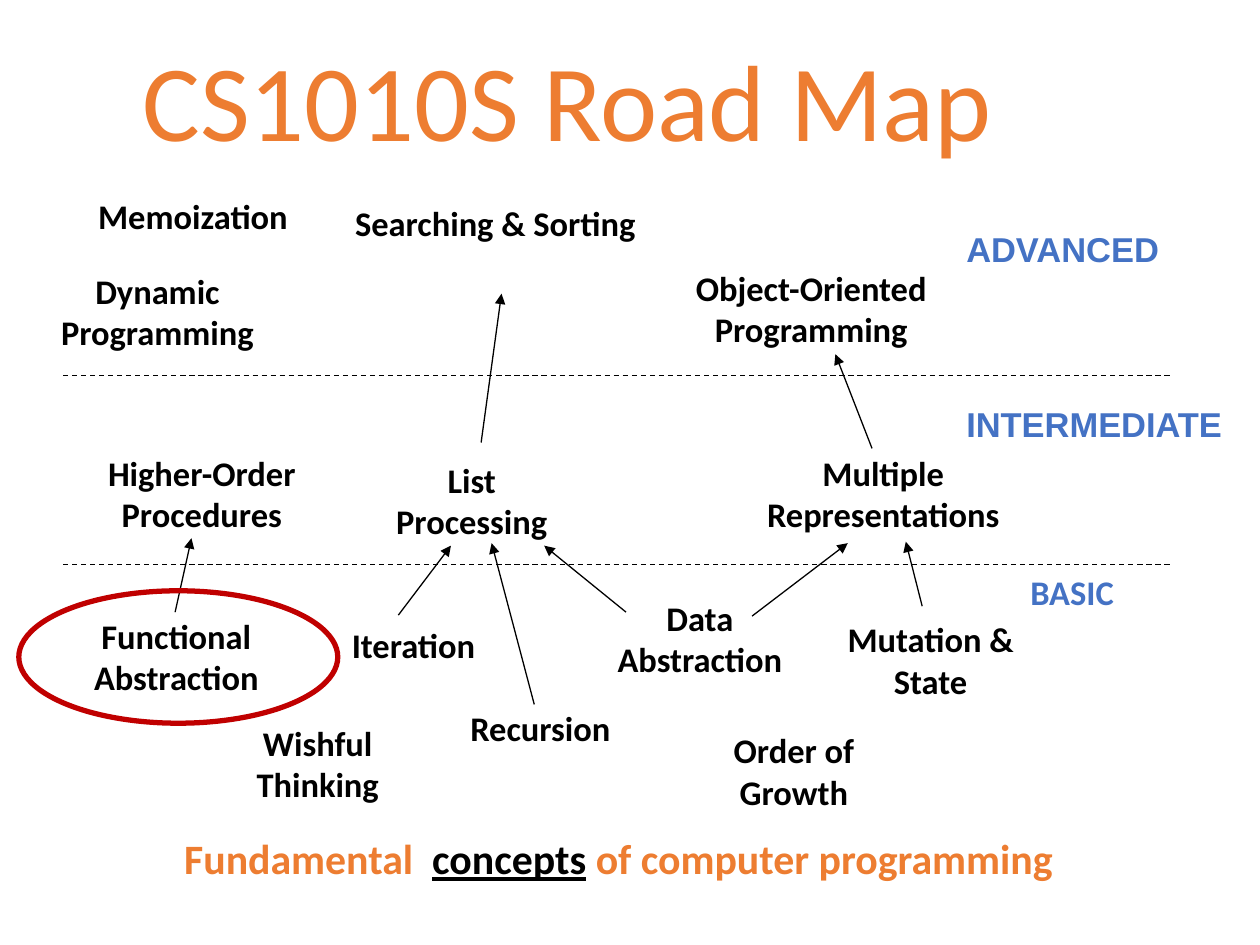
from lxml import etree
from pptx import Presentation
from pptx.dml.color import RGBColor
from pptx.enum.dml import MSO_LINE
from pptx.enum.shapes import MSO_CONNECTOR, MSO_SHAPE
from pptx.enum.text import MSO_ANCHOR, MSO_AUTO_SIZE, PP_ALIGN
from pptx.oxml.ns import qn
from pptx.util import Cm, Pt

ORANGE = RGBColor(0xED, 0x7D, 0x31)
BLUE = RGBColor(0x44, 0x72, 0xC4)
BLACK = RGBColor(0, 0, 0)
RED = RGBColor(0xC0, 0, 0)
WHITE = RGBColor(255, 255, 255)
LEFT, CENTER = PP_ALIGN.LEFT, PP_ALIGN.CENTER
MIDDLE = MSO_ANCHOR.MIDDLE
FIT, FIXED = MSO_AUTO_SIZE.SHAPE_TO_FIT_TEXT, MSO_AUTO_SIZE.NONE
DASH = MSO_LINE.DASH
STRAIGHT = MSO_CONNECTOR.STRAIGHT
OVAL = MSO_SHAPE.OVAL

WIDE, HIGH = 25.4, 19.05
ONE, TWO = 1.1, 1.93
SIZE = 19.7

ADVANCED = [
    ("Memoization", 1.73, 0, 5.08, ONE, LEFT),
    ("Searching & Sorting", 6.91, 0.13, 6.35, ONE, LEFT),
    ("Dynamic Programming", 0, 1.5, 6.35, TWO, CENTER),
    ("Object-Oriented Programming", 13.18, 1.45, 6.35, TWO, CENTER),
]
MEDIUM = [
    ("Higher-Order Procedures", 1.3, 1.42, 5.54, TWO, CENTER),
    ("List Processing", 7.26, 1.55, 4.5, TWO, CENTER),
    ("Multiple\nRepresentations", 14.58, 1.42, 6.45, TWO, CENTER),
]
BASIC = [
    ("Functional Abstraction", 1.32, 0.89, 4.47, TWO, CENTER),
    ("Iteration", 6.1, 1.07, 4.47, ONE, CENTER),
    ("Recursion", 8.66, 2.74, 4.47, ONE, CENTER),
    ("Wishful Thinking", 4.17, 3.05, 4.47, TWO, CENTER),
    ("Data Abstraction", 11.86, 0.53, 4.5, TWO, CENTER),
    ("Order of Growth", 13.77, 3.2, 4.47, TWO, CENTER),
    ("Mutation & State", 16.51, 0.96, 4.5, TWO, CENTER),
]
LINKS = [
    (3.53, 12.34, 3.86, 10.85),
    (8.03, 12.4, 9.09, 11),
    (10.77, 14.2, 9.91, 10.95),
    (12.62, 12.34, 10.97, 11),
    (15.16, 12.42, 17.09, 10.95),
    (18.59, 12.22, 18.26, 10.92),
    (17.58, 9.04, 16.84, 7.14),
    (9.7, 8.92, 10.11, 5.92),
]


def add_run(para, text, size, color, font="Calibri", bold=True):
    run = para.add_run()
    run.text = text
    run.font.size = Pt(size)
    run.font.name = font
    run.font.bold = bold
    run.font.color.rgb = color
    return run


def add_text(slide, box, align, wrap=True):
    frame = slide.shapes.add_textbox(*map(Cm, box)).text_frame
    frame.word_wrap = wrap
    frame.auto_size = FIT
    para = frame.paragraphs[0]
    para.alignment = align
    return para


def add_line(slide, ends, dash=False, arrow=False):
    line = slide.shapes.add_connector(STRAIGHT, *map(Cm, ends))
    line.line.color.rgb = BLACK
    line.line.width = Pt(0.75)
    if dash:
        line.line.dash_style = DASH
    if arrow:
        tail = etree.SubElement(line.line._get_or_add_ln(), qn("a:tailEnd"))
        tail.set("type", "triangle")
    etree.SubElement(line._element.spPr, qn("a:effectLst"))


def add_shade(run):
    props = run.font._element
    effect = etree.Element(qn("a:effectLst"))
    props.find(qn("a:solidFill")).addnext(effect)
    shade = etree.SubElement(effect, qn("a:outerShdw"), blurRad="38100",
                             dist="38100", dir="2700000", algn="tl")
    color = etree.SubElement(shade, qn("a:srgbClr"), val="000000")
    etree.SubElement(color, qn("a:alpha"), val="20000")


def add_title(slide, box):
    title = slide.shapes.title
    title.left, title.top, title.width, title.height = map(Cm, box)
    frame = title.text_frame
    frame.auto_size = FIXED
    frame.word_wrap = True
    frame.vertical_anchor = MIDDLE
    frame.margin_left = frame.margin_top = frame.margin_bottom = Cm(0.15)
    frame.margin_right = Cm(0.25)
    para = frame.paragraphs[0]
    para.alignment = LEFT
    para.line_spacing = 0.9
    add_shade(add_run(para, "CS1010S Road Map", 61.9, ORANGE, bold=False))


def add_band(slide, box, label, topics):
    left, top, _, _ = box
    name, x, y, wide, font = label
    para = add_text(slide, (left + x, top + y, wide, ONE), LEFT)
    add_run(para, name, SIZE, BLUE, font)
    for text, x, y, wide, high, align in topics:
        para = add_text(slide, (left + x, top + y, wide, high), align)
        for i, part in enumerate(text.split("\n")):
            if i:
                para.add_line_break()
            add_run(para, part, SIZE, BLACK)


def add_rule(slide, box):
    left, top, wide, _ = box
    add_line(slide, (left + 1.27, top, left + wide - 1.75, top), dash=True)


def add_links(slide, box):
    left, top, _, _ = box
    for x1, y1, x2, y2 in LINKS:
        add_line(slide, (left + x1, top + y1, left + x2, top + y2), arrow=True)


def add_ring(slide, box):
    left, top, _, _ = box
    ring = slide.shapes.add_shape(
        OVAL, Cm(left + 0.38), Cm(top + 0.53), Cm(6.43), Cm(2.67))
    ring.shadow.inherit = False
    ring.fill.background()
    ring.line.color.rgb = RED
    ring.line.width = Pt(3)


def add_foot(slide, box):
    para = add_text(slide, box, CENTER, wrap=False)
    add_run(para, "Fundamental  ", 23.9, ORANGE)
    add_run(para, "concepts", 23.9, BLACK).font.underline = True
    add_run(para, " ", 23.9, BLACK)
    add_run(para, "of computer programming", 23.9, ORANGE)


def main():
    deck = Presentation()
    deck.slide_width, deck.slide_height = Cm(WIDE), Cm(HIGH)
    slide = deck.slides.add_slide(deck.slide_layouts[5])
    slide.background.fill.solid()
    slide.background.fill.fore_color.rgb = WHITE
    high = (0, 3.81, WIDE, 3.76)
    mid = (0, 7.57, WIDE, 3.81)
    low = (0, 11.38, WIDE, 5.28)
    add_title(slide, (2.72, 0, 20.45, 4.29))
    add_rule(slide, mid)
    add_rule(slide, low)
    add_band(slide, high, ("ADVANCED", 19.23, 0.66, 6.17, "Arial"), ADVANCED)
    add_band(slide, mid, ("INTERMEDIATE", 19.23, 0.43, 6.17, "Arial"), MEDIUM)
    add_band(slide, low, ("BASIC", 20.52, 0, 4.47, "Calibri"), BASIC)
    add_links(slide, (0, 0, WIDE, HIGH))
    add_foot(slide, (3.35, 16.66, 18.24, 1.27))
    add_ring(slide, low)
    deck.save("out.pptx")


if __name__ == "__main__":
    main()
